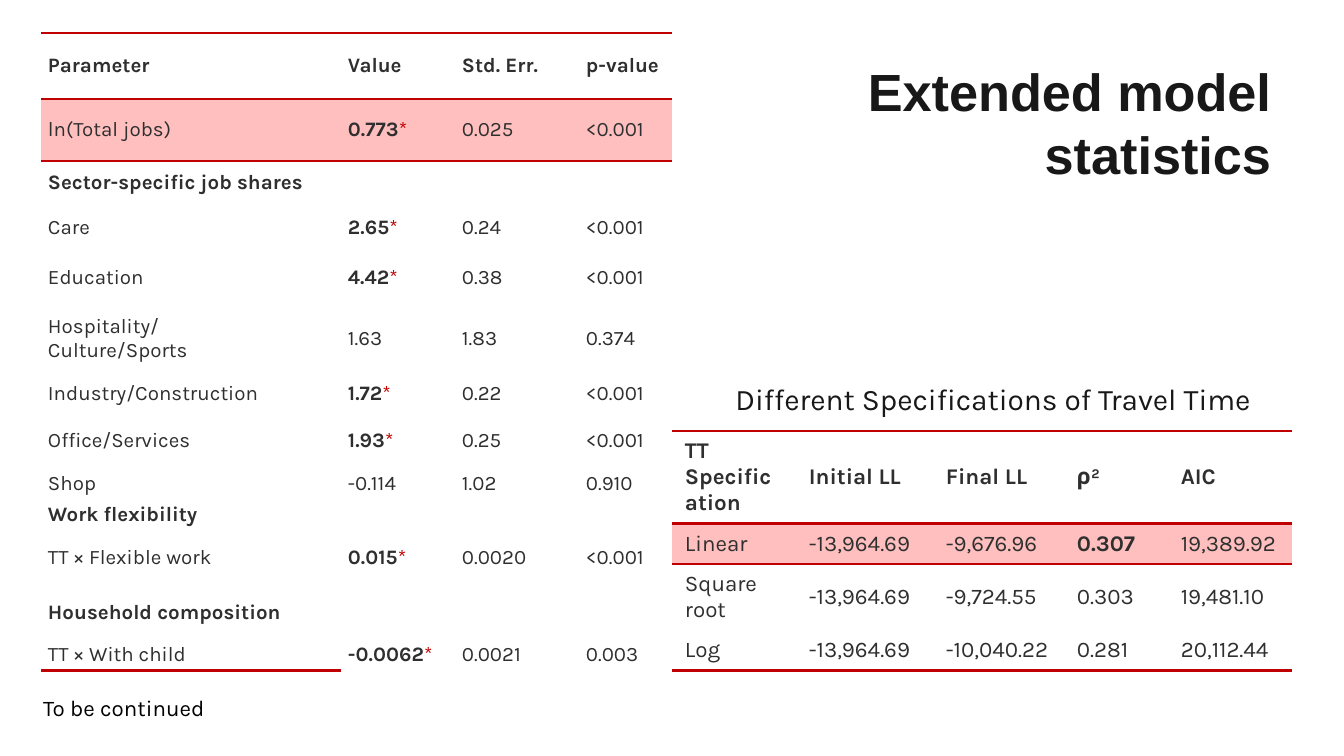
"""Build the slide with the extended model statistics and the travel time specifications."""
from lxml.etree import SubElement
from pptx import Presentation
from pptx.dml.color import RGBColor
from pptx.enum.text import MSO_ANCHOR as Anchor, PP_ALIGN as Align
from pptx.oxml import parse_xml
from pptx.oxml.ns import nsdecls, qn
from pptx.util import Pt

PX = 914400 / 134.4
INK = RGBColor(0x2F, 0x2F, 0x2F)
DARK = RGBColor(0x18, 0x18, 0x18)
BLACK = RGBColor(0, 0, 0)
RED = RGBColor(0xC0, 0x00, 0x00)
PINK = RGBColor(0xFF, 0xBF, 0xBF)
NO_STYLE = "{2D5ABB26-0587-4C30-8999-92F81FD0307C}"


def px(*lengths):
    return [round(length * PX) for length in lengths]


def rule(cell, side):
    line = parse_xml(f'<a:{side} {nsdecls("a")} w="{Pt(1.5)}"/>')
    colour = SubElement(SubElement(line, qn("a:solidFill")), qn("a:srgbClr"))
    colour.set("val", str(RED))
    cell._tc.get_or_add_tcPr().insert(0, line)


specification_rows = [
    ("TT Specification", "Initial LL", "Final LL", "ρ²", "AIC"),
    ("Linear", "-13,964.69", "-9,676.96", "0.307", "19,389.92"),
    ("Square root", "-13,964.69", "-9,724.55", "0.303", "19,481.10"),
    ("Log", "-13,964.69", "-10,040.22", "0.281", "20,112.44"),
]
parameter_rows = [
    ("Parameter", "Value", "Std. Err.", "p-value"),
    ("ln(Total jobs)", "0.773*", "0.025", "<0.001"),
    ("Sector-specific job shares",),
    ("Care", "2.65*", "0.24", "<0.001"),
    ("Education", "4.42*", "0.38", "<0.001"),
    ("Hospitality/\nCulture/Sports", "1.63", "1.83", "0.374"),
    ("Industry/Construction", "1.72*", "0.22", "<0.001"),
    ("Office/Services", "1.93*", "0.25", "<0.001"),
    ("Shop", "-0.114", "1.02", "0.910"),
    ("Work flexibility",),
    ("TT × Flexible work", "0.015*", "0.0020", "<0.001"),
    ("Household composition",),
    ("TT × With child", "-0.0062*", "0.0021", "0.003"),
]
tables = [
    (672, 431, [124, 137, 131, 104, 124], [92, 40, 66, 40], specification_rows, 12, (13, 7), 5),
    (41, 33, [300, 114, 124, 93], [66, 62, 44, 46, 53, 70, 39, 55, 31, 31, 55, 55, 31],
     parameter_rows, 11, (7, 3), 1),
]

deck = Presentation()
deck.slide_width, deck.slide_height = px(1344, 756)
slide = deck.slides.add_slide(deck.slide_layouts[6])

built = []
for left, top, widths, heights, rows, size, (inset_x, inset_y), closed_columns in tables:
    frame = slide.shapes.add_table(len(rows), len(widths), *px(left, top, sum(widths), sum(heights)))
    table = frame.table
    built.append(table)
    table.first_row = table.horz_banding = False
    table._tbl.tblPr.find(qn("a:tableStyleId")).text = NO_STYLE
    for column, width in zip(table.columns, px(*widths)):
        column.width = width
    for row, height in zip(table.rows, px(*heights)):
        row.height = height
    for r, texts in enumerate(rows):
        is_section = len(texts) == 1
        if is_section:
            table.cell(r, 0).merge(table.cell(r, len(widths) - 1))
        for c, text in enumerate(texts):
            cell = table.cell(r, c)
            cell.vertical_anchor = Anchor.MIDDLE
            cell.margin_left = cell.margin_right = px(inset_x)[0]
            cell.margin_top = cell.margin_bottom = px(inset_y)[0]
            cell.text = text.rstrip("*")
            for paragraph in cell.text_frame.paragraphs:
                font = paragraph.font
                font.name, font.size, font.bold = "Karla", Pt(size), r == 0 or is_section
                font.color.rgb = INK
            if text.endswith("*"):
                paragraph.runs[0].font.bold = True
                star = paragraph.add_run()
                star.text = "*"
                star.font.color.rgb = RED
            if r == 1:
                cell.fill.solid()
                cell.fill.fore_color.rgb = PINK
            else:
                cell.fill.background()
            if r == 0 or (r == len(rows) - 1 and c < closed_columns):
                rule(cell, "lnB")
            if r < 2:
                rule(cell, "lnT")

best_fit = built[0].cell(1, 3)
best_fit.text_frame.paragraphs[0].font.bold = True

captions = [
    ("Different Specifications of Travel Time", (672, 366, 613, 65), 34, Align.RIGHT,
     Anchor.MIDDLE, "Karla", 16, DARK, False),
    ("To be continued", (30, 688, 676, 40), 13, Align.LEFT, Anchor.TOP, "Karla", 12, BLACK, False),
    ("Extended model statistics", (806, 53, 478, 140), 13, Align.RIGHT,
     Anchor.TOP, "Arial", 28, DARK, True),
]
for text, place, right_inset, align, anchor, face, size, colour, bold in captions:
    caption = slide.shapes.add_textbox(*px(*place)).text_frame
    caption.word_wrap = True
    caption.vertical_anchor = anchor
    caption.margin_right = px(right_inset)[0]
    caption.text = text
    paragraph = caption.paragraphs[0]
    paragraph.alignment = align
    font = paragraph.font
    font.name, font.size, font.bold = face, Pt(size), bold
    font.color.rgb = colour

deck.save("out.pptx")
